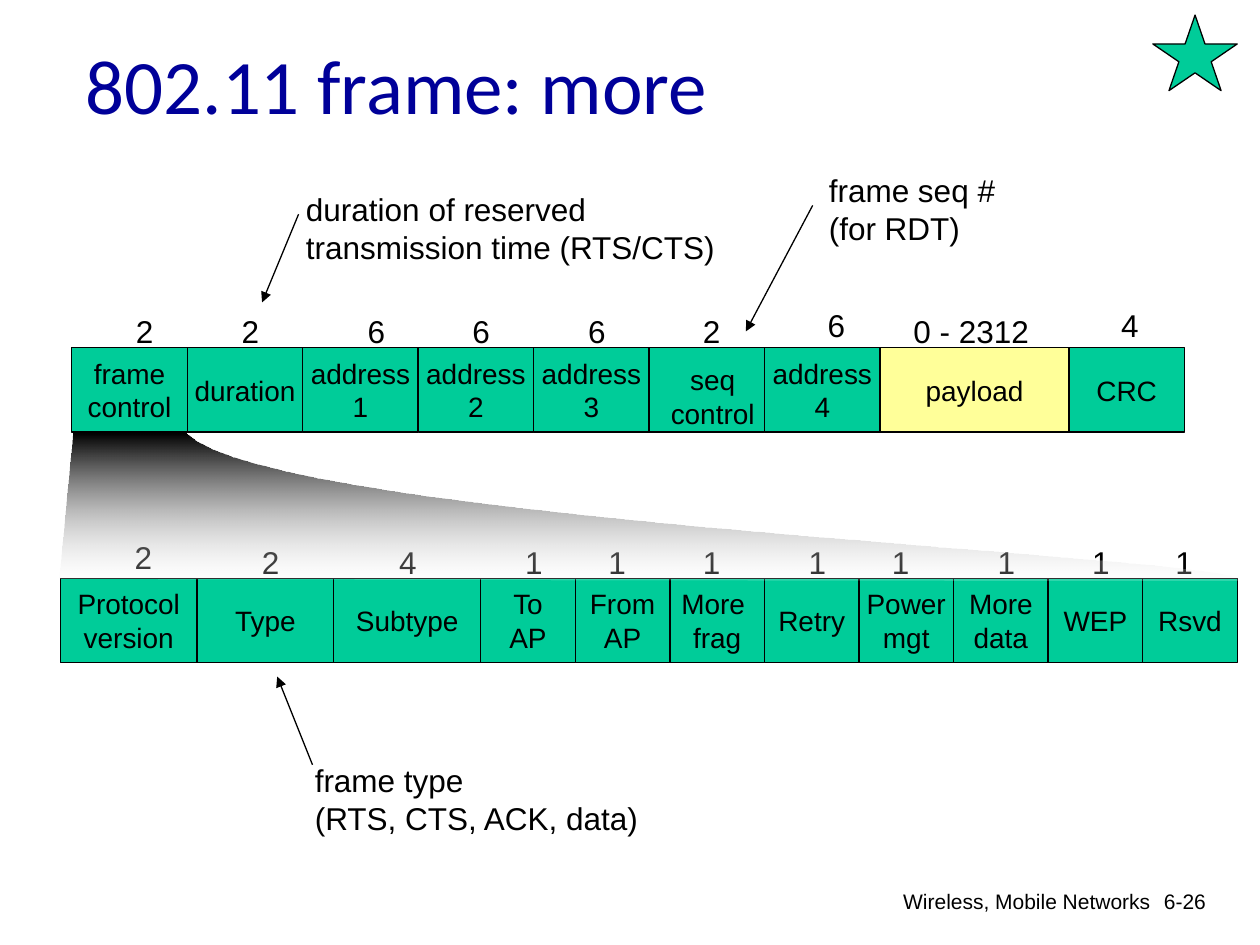
from lxml import etree
from pptx import Presentation
from pptx.dml.color import RGBColor
from pptx.enum.shapes import MSO_CONNECTOR, MSO_SHAPE
from pptx.enum.text import MSO_ANCHOR, MSO_AUTO_SIZE, PP_ALIGN
from pptx.oxml.ns import qn
from pptx.util import Inches, Pt

COLORS = {"ink": "000000", "title": "000099", "field": "00CC99",
          "payload": "FFFF99", "fade": "FFFFFF"}

# caption, relative width, size, left of size within the row, rise of size
FRAME_FIELDS = [
    ("frame\ncontrol", 11, "2", 0.41, 0),
    ("duration", 11, "2", 1.25, 0),
    ("address\n1", 11, "6", 2.25, 0),
    ("address\n2", 11, "6", 3.08, 0),
    ("address\n3", 11, "6", 4, 0),
    ("seq\ncontrol", 11, "2", 4.91, 0),
    ("address\n4", 11, "6", 5.9, 0.05),
    ("payload", 18, "0 - 2312", 6.58, 0),
    ("CRC", 11, "4", 8.23, 0.05),
]
CONTROL_FIELDS = [
    ("Protocol\nversion", 13, "2", 0.49, 0.04),
    ("Type", 13, "2", 1.5, 0),
    ("Subtype", 14, "4", 2.59, 0),
    ("To\nAP", 9, "1", 3.59, 0),
    ("From\nAP", 9, "1", 4.25, 0),
    ("More \nfrag", 9, "1", 5, 0),
    ("Retry", 9, "1", 5.84, 0),
    ("Power\nmgt", 9, "1", 6.5, 0),
    ("More\ndata", 9, "1", 7.34, 0),
    ("WEP", 9, "1", 8.09, 0),
    ("Rsvd", 9, "1", 8.75, 0),
]
NOTES = [
    ("duration of reserved\ntransmission time (RTS/CTS)",
     (2.33, 1.46, 3.48, 0.71), (2.37, 1.7), (2.08, 2.4)),
    ("frame seq #\n(for RDT)",
     (6.48, 1.31, 1.53, 0.71), (6.45, 1.63), (5.92, 2.63)),
    ("frame type\n(RTS, CTS, ACK, data)",
     (2.4, 5.99, 2.82, 0.7), (2.48, 6.07), (2.2, 5.37)),
]


def color(name):
    return RGBColor.from_string(COLORS[name])


def inches(*lengths):
    return [Inches(length) for length in lengths]


def write(frame, text, size, align=PP_ALIGN.LEFT, wrap=False,
          anchor=MSO_ANCHOR.TOP, font="Arial", ink="ink"):
    frame.text = text
    settings = {"word_wrap": wrap, "vertical_anchor": anchor,
                "auto_size": MSO_AUTO_SIZE.NONE}
    for name, value in settings.items():
        setattr(frame, name, value)
    for paragraph in frame.paragraphs:
        paragraph.alignment = align
        for name, value in {"size": Pt(size), "name": font}.items():
            setattr(paragraph.font, name, value)
        paragraph.font.color.rgb = color(ink)


def add_text(shapes, box, text, size, **options):
    write(shapes.add_textbox(*inches(*box)).text_frame, text, size, **options)


def add_filled(shapes, preset, box, fill):
    filled = shapes.add_shape(preset, *inches(*box))
    filled.shadow.inherit = False
    filled.fill.solid()
    filled.fill.fore_color.rgb = color(fill)
    filled.line.color.rgb = color("ink")
    filled.line.width = Pt(0.75)
    return filled


def add_title(slide, box):
    title = slide.shapes.title
    for name, value in zip(("left", "top", "width", "height"), inches(*box)):
        setattr(title, name, value)
    write(title.text_frame, "802.11 frame: more", 44, wrap=True,
          font="Calibri", ink="title")


def add_footer(slide, box):
    left, top, width, height = box
    number_width = 0.74
    add_text(slide.shapes, (left, top, width - 0.44, height),
             "Wireless, Mobile Networks", 12, align=PP_ALIGN.RIGHT, wrap=True)
    add_text(slide.shapes, (left + width - number_width, top, number_width, height),
             "6-26", 12, align=PP_ALIGN.RIGHT, wrap=True)


def add_field_row(slide, box, fields):
    left, top, width, height = box
    shapes = slide.shapes.add_group_shape().shapes
    unit = width / sum(field[1] for field in fields)
    field_left = left
    for caption, weight, size, size_left, rise in fields:
        fill = "payload" if caption == "payload" else "field"
        cell = add_filled(shapes, MSO_SHAPE.RECTANGLE,
                          (field_left, top, weight * unit, height), fill)
        if caption.startswith("seq"):
            add_text(shapes, (field_left + 0.07, top + 0.07, 0.87, 0.64),
                     caption, 16, align=PP_ALIGN.CENTER)
        else:
            write(cell.text_frame, caption, 16, align=PP_ALIGN.CENTER,
                  anchor=MSO_ANCHOR.MIDDLE)
        size_width = 0.34 if len(size) == 1 else 1.12
        add_text(shapes, (left + size_left, top - 0.33 - rise, size_width, 0.4),
                 size, 18)
        field_left += weight * unit


def curve(start, first, second, end, steps=32):
    for step in range(1, steps + 1):
        t = step / steps
        weights = ((1 - t) ** 3, 3 * t * (1 - t) ** 2, 3 * t * t * (1 - t), t ** 3)
        yield tuple(Inches(sum(w * p for w, p in zip(weights, axis)))
                    for axis in zip(start, first, second, end))


def add_zoom(slide, box):
    left, top, width, height = box
    right, bottom = left + width, top + height
    builder = slide.shapes.build_freeform(*inches(left + 0.11, top), scale=1.0)
    builder.add_line_segments(
        [inches(left, bottom - 0.02), inches(right, bottom),
         *curve((right, bottom), (right + 0.17, bottom - 0.2),
                (left + 1.69, top + 0.71), (left + 1.01, top))])
    zoom = builder.convert_to_shape()
    zoom.shadow.inherit = False
    zoom.line.fill.background()
    zoom.fill.gradient()
    zoom.fill.gradient_angle = 270
    for stop, name in zip(zoom.fill.gradient_stops, ("ink", "fade")):
        stop.color.rgb = color(name)
    fade = zoom.fill._xPr.findall(".//" + qn("a:srgbClr"))[-1]
    etree.SubElement(fade, qn("a:alpha"), val="18000")


def add_note(slide, text, box, start, end):
    add_text(slide.shapes, box, text, 18)
    arrow = slide.shapes.add_connector(MSO_CONNECTOR.STRAIGHT,
                                       *inches(*start, *end))
    arrow.line.color.rgb = color("ink")
    arrow.line.width = Pt(0.75)
    etree.SubElement(arrow.line._get_or_add_ln(), qn("a:tailEnd"), type="triangle")
    etree.SubElement(arrow._element.spPr, qn("a:effectLst"))


def main():
    deck = Presentation()
    deck.slide_width, deck.slide_height = inches(10, 7.5)
    slide = deck.slides.add_slide(deck.slide_layouts[5])
    add_title(slide, (0.58, 0.25, 8.5, 1.25))
    add_footer(slide, (5.01, 7, 4.66, 0.35))
    add_field_row(slide, (0.57, 2.76, 8.83, 0.67), FRAME_FIELDS)
    add_field_row(slide, (0.48, 4.59, 9.34, 0.67), CONTROL_FIELDS)
    add_zoom(slide, (0.47, 3.44, 9.36, 1.17))
    for note in NOTES:
        add_note(slide, *note)
    add_filled(slide.shapes, MSO_SHAPE.STAR_5_POINT, (9.15, 0.12, 0.67, 0.6), "field")
    deck.save("out.pptx")


if __name__ == "__main__":
    main()
